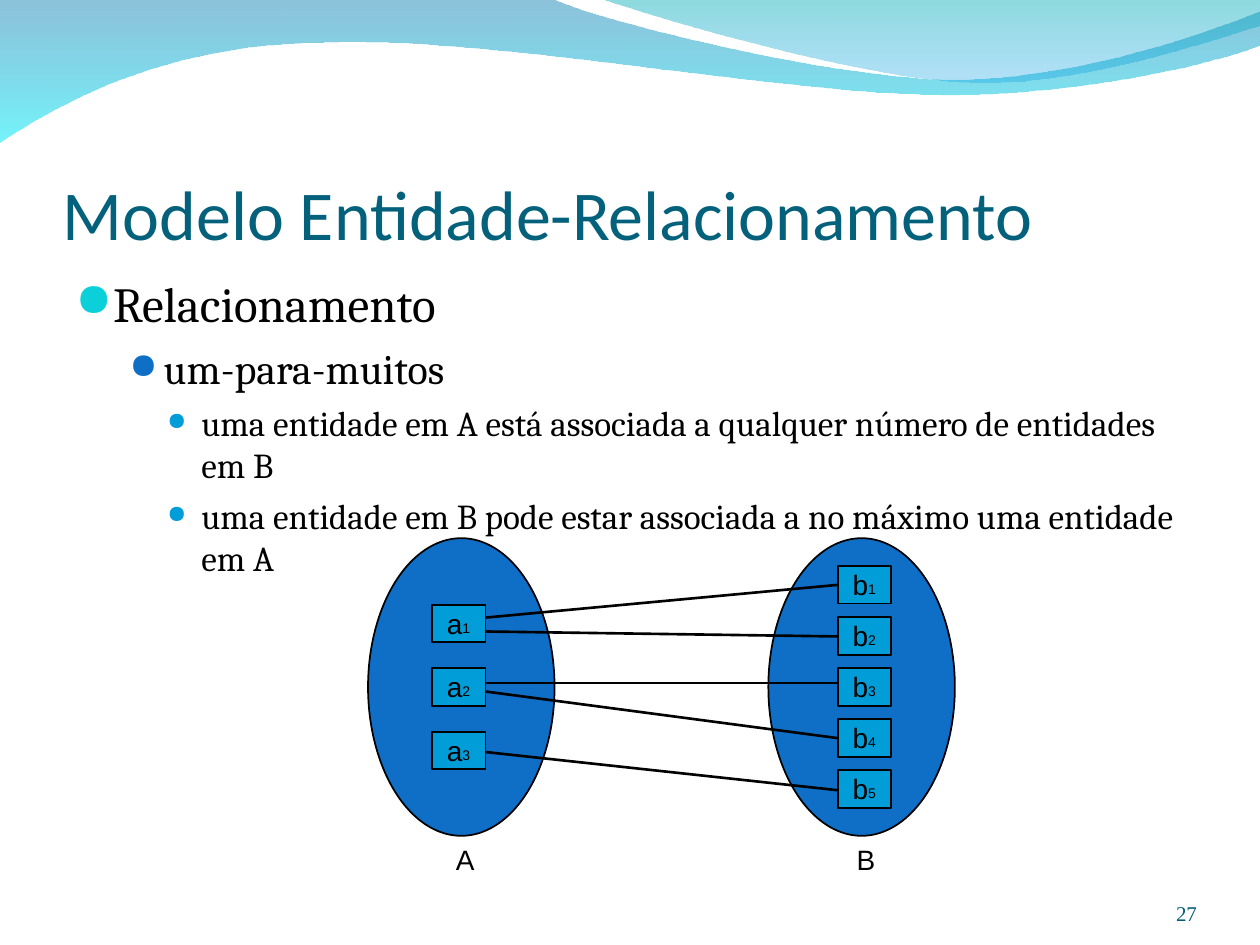
"""Build a slide on one-to-many relationships between entity sets A and B."""
import pptx
import pptx.util
import pptx.dml.color
import pptx.enum.shapes
import pptx.enum.text
import pptx.oxml.ns
import lxml.etree

Cm, Pt = pptx.util.Cm, pptx.util.Pt
Kind = pptx.enum.shapes.MSO_SHAPE
Align = pptx.enum.text.PP_ALIGN
Anchor = pptx.enum.text.MSO_ANCHOR
qn = pptx.oxml.ns.qn

HUES = {"title": "04617B", "page": "045C75", "ink": "000000",
        "set": "0F6FC6", "item": "009DD9"}
LEVELS = [
    {"left": 0.76, "hang": 0.76, "before": 7, "hue": "0BD0D9", "pct": 95, "size": 28},
    {"left": 1.78, "hang": 0.69, "before": 6, "hue": "0F6FC6", "pct": 85, "size": 24},
    {"left": 2.54, "hang": 0.69, "before": 5, "hue": "009DD9", "pct": 70, "size": 20},
]
BODY = [
    (0, "Relacionamento"),
    (1, "um-para-muitos"),
    (2, "uma entidade em A está associada a qualquer número de entidades em B"),
    (2, "uma entidade em B pode estar associada a no máximo uma entidade em A"),
]
SETS = [
    {"name": "A", "left": 7.42, "label": 9.19, "item": "a", "count": 3,
     "x": 8.71, "top": 12.19, "step": 1.28},
    {"name": "B", "left": 15.49, "label": 17.27, "item": "b", "count": 5,
     "x": 16.89, "top": 11.41, "step": 1.03},
]
LINKS = [(12.45, 11.79), (12.73, 12.83), (13.77, 13.77), (13.94, 14.88), (15.16, 15.93)]
WAVES = [
    {"start": (0, 0),
     "parts": [[(11.18, 0)],
               [(12.09, 0.43), (16.87, 1.6), (19.25, 1.6)],
               [(21.67, 1.6), (24.33, 0.66), (25.4, 0.23)],
               [(25.4, 0.91)],
               [(24.97, 1.12), (22.1, 1.93), (18.95, 1.91)],
               [(15.8, 1.91), (9.7, 0.71), (6.53, 0.86)],
               [(3.28, 0.89), (1.17, 2.11), (0, 2.87)]],
     "stops": [("0079AF", 45), ("00EBF8", 55)]},
    {"start": (12.17, 0),
     "parts": [[(12.93, 0.28), (17.32, 1.57), (19.53, 1.65)],
               [(21.74, 1.75), (24.41, 0.81), (25.4, 0.53)],
               [(25.4, 0)]],
     "stops": [("00ADB6", 45), ("009BE5", 30)]},
]


def rgb(hue):
    return pptx.dml.color.RGBColor.from_string(hue)


def style(para, size, face, hue):
    for run in para.runs:
        run.font.size, run.font.name = Pt(size), face
        run.font.color.rgb = rgb(hue)


def frame(slide, box, pads=(0, 0, 0, 0), wrap=True, anchor=Anchor.TOP):
    text = slide.shapes.add_textbox(*map(Cm, box)).text_frame
    text.margin_left, text.margin_top, text.margin_right, text.margin_bottom = map(Cm, pads)
    text.word_wrap, text.vertical_anchor = wrap, anchor
    return text


def write(slide, box, words, size, face, hue, align=Align.LEFT, **opts):
    text = frame(slide, box, **opts)
    text.text = words
    text.paragraphs[0].alignment = align
    style(text.paragraphs[0], size, face, hue)


def curve(start, part, steps=24):
    if len(part) == 1:
        return part
    pts = [start, *part]
    rule = (1, 3, 3, 1)
    return [tuple(sum(k * (1 - t) ** (3 - i) * t ** i * p[axis]
                      for i, (k, p) in enumerate(zip(rule, pts))) for axis in (0, 1))
            for t in (n / steps for n in range(1, steps + 1))]


def wave(slide, start, parts, stops):
    pts, last = [], start
    for part in parts:
        pts += curve(last, part)
        last = part[-1]
    pen = slide.shapes.build_freeform(Cm(start[0]), Cm(start[1]))
    pen.add_line_segments([(Cm(x), Cm(y)) for x, y in pts], close=True)
    shape = pen.convert_to_shape()
    shape.shadow.inherit = False
    shape.line.fill.background()
    shape.fill.gradient()
    shape.fill.gradient_angle = 270
    for stop, (hue, pct) in zip(shape.fill.gradient_stops, stops):
        stop.color.rgb = rgb(hue)
    tints = shape.element.spPr.iter(qn("a:srgbClr"))
    for tint, (hue, pct) in zip(tints, stops):
        lxml.etree.SubElement(tint, qn("a:alpha")).set("val", str(pct * 1000))


def solid(slide, kind, box, hue):
    shape = slide.shapes.add_shape(kind, *map(Cm, box))
    shape.shadow.inherit = False
    shape.fill.solid()
    shape.fill.fore_color.rgb = rgb(hue)
    shape.line.color.rgb, shape.line.width = rgb(HUES["ink"]), Pt(1)


def bullet(para, left, hang, before, hue, pct, size):
    props = para._p.get_or_add_pPr()
    props.set("marL", str(Cm(left)))
    props.set("indent", str(-Cm(hang)))
    tint = lxml.etree.SubElement(props, qn("a:buClr"))
    lxml.etree.SubElement(tint, qn("a:srgbClr")).set("val", hue)
    lxml.etree.SubElement(props, qn("a:buSzPct")).set("val", str(pct * 1000))
    lxml.etree.SubElement(props, qn("a:buChar")).set("char", "●")
    style(para, size, "Cambria", HUES["ink"])


def body(slide):
    text = frame(slide, (1.27, 5.38, 22.86, 12.19), (0.25, 0.13, 0.25, 0.13))
    text.text = "\n".join(words for level, words in BODY)
    for n, (para, (level, words)) in enumerate(zip(text.paragraphs, BODY)):
        para.level = level
        bullet(para, **LEVELS[level])
        if n:
            para.space_before = Pt(LEVELS[level]["before"])


def group(slide, data):
    ink = HUES["ink"]
    solid(slide, Kind.OVAL, (data["left"], 10.85, 3.76, 6), HUES["set"])
    write(slide, (data["label"], 16.99, 0.38, 0.69), data["name"], 16, "Arial", ink, wrap=False)
    x = data["x"]
    for n in range(data["count"]):
        y = data["top"] + n * data["step"]
        solid(slide, Kind.RECTANGLE, (x, y, 1.08, 0.76), HUES["item"])
        write(slide, (x + 0.3, y + 0.03, 0.3, 0.69), data["item"], 16, "Arial", ink, wrap=False)
        write(slide, (x + 0.61, y + 0.29, 0.15, 0.33), str(n + 1), 8, "Arial", ink, wrap=False)


def link(slide, begin, end):
    line = slide.shapes.add_connector(pptx.enum.shapes.MSO_CONNECTOR.STRAIGHT,
                                      Cm(9.79), Cm(begin), Cm(16.89), Cm(end))
    line.line.color.rgb, line.line.width = rgb(HUES["ink"]), Pt(1.5)
    lxml.etree.SubElement(line._element.spPr, qn("a:effectLst"))


def main():
    deck = pptx.Presentation()
    deck.slide_width, deck.slide_height = Cm(25.4), Cm(19.05)
    slide = deck.slides.add_slide(deck.slide_layouts[6])
    for data in WAVES:
        wave(slide, **data)
    write(slide, (1.27, 1.96, 22.86, 3.18), "Modelo Entidade-Relacionamento", 40, "Calibri",
          HUES["title"], pads=(0, 0.13, 0, 0), anchor=Anchor.BOTTOM)
    body(slide)
    write(slide, (22.02, 17.65, 2.11, 1.02), "27", 12, "Times New Roman", HUES["page"],
          align=Align.RIGHT, anchor=Anchor.BOTTOM)
    for data in SETS:
        group(slide, data)
    for ends in LINKS:
        link(slide, *ends)
    deck.save("out.pptx")


if __name__ == "__main__":
    main()
